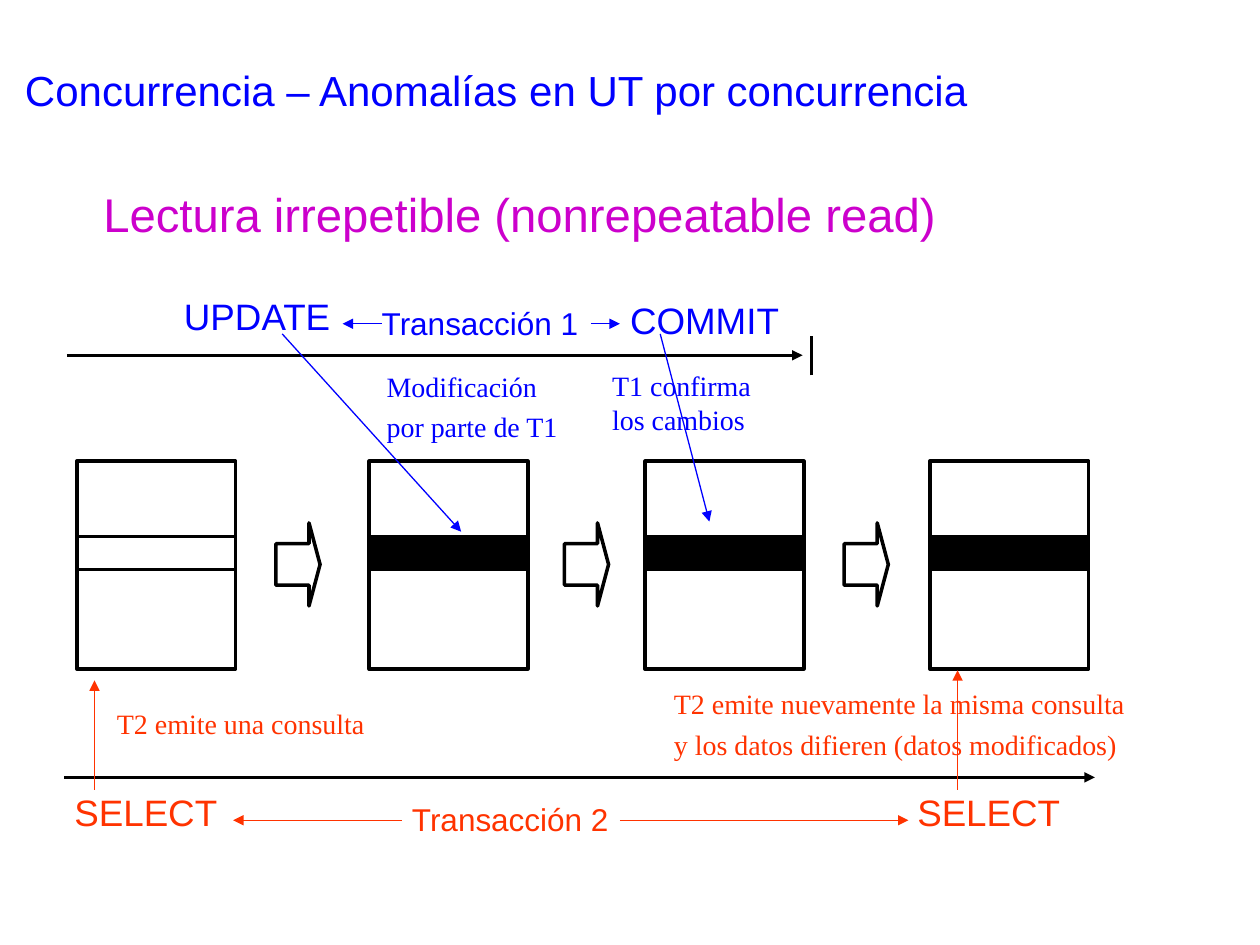
from lxml import etree
from pptx import Presentation
from pptx.dml.color import RGBColor
from pptx.enum.shapes import MSO_CONNECTOR, MSO_SHAPE
from pptx.enum.text import MSO_ANCHOR, MSO_AUTO_SIZE
from pptx.oxml.ns import qn
from pptx.util import Inches, Pt

STRAIGHT = MSO_CONNECTOR.STRAIGHT
RECTANGLE, ARROW = MSO_SHAPE.RECTANGLE, MSO_SHAPE.RIGHT_ARROW
TOP, MIDDLE = MSO_ANCHOR.TOP, MSO_ANCHOR.MIDDLE
GROW = MSO_AUTO_SIZE.SHAPE_TO_FIT_TEXT
COLORS = {name: RGBColor.from_string(value) for name, value in {
    "blue": "0000FF", "red": "FF3300", "purple": "CC00CC",
    "black": "000000", "white": "FFFFFF"}.items()}

deck = Presentation()
deck.slide_width, deck.slide_height = Inches(10), Inches(7.5)
page = deck.slides.add_slide(deck.slide_layouts[6])
column = deck.slide_width / 100
row = deck.slide_height / 75


def add_text(lines, place, size, color, font="Arial", inset=False, wrap=False, before=0, after=0):
    left, top, width, height = place
    box = page.shapes.add_textbox(int(left * column), int(top * row),
                                  int(width * column), int(height * row))
    frame = box.text_frame
    frame.word_wrap = wrap
    frame.auto_size = GROW
    frame.vertical_anchor = TOP if inset else MIDDLE
    frame.margin_left = frame.margin_right = Inches(0.1 if inset else 0)
    frame.margin_top = frame.margin_bottom = Inches(0.05 if inset else 0)
    frame.text = "\n".join(lines)
    for para in frame.paragraphs:
        para.space_before, para.space_after = Pt(before), Pt(after)
        para.font.name, para.font.size = font, Pt(size)
        para.font.color.rgb = COLORS[color]


def add_line(start, end, color, weight=0.75, arrow=True):
    line = page.shapes.add_connector(
        STRAIGHT, int(start[0] * column), int(start[1] * row),
        int(end[0] * column), int(end[1] * row))
    line.line.color.rgb = COLORS[color]
    line.line.width = Pt(weight)
    if arrow:
        etree.SubElement(line.line._get_or_add_ln(), qn("a:tailEnd"), type="triangle")
    etree.SubElement(line._element.spPr, qn("a:effectLst"))


add_text(["Concurrencia – Anomalías en UT por concurrencia"],
         (1, 4.6, 97.4, 5), 24, "blue", inset=True, wrap=True)
add_text(["Lectura irrepetible (nonrepeatable read)"],
         (8.2, 14.7, 66.4, 4.5), 27, "purple", after=5)

table_width = 12.6
for table_left, row_color in ((6.1, None), (29.3, "black"), (51.2, "black"), (73.8, "black")):
    for top, height, color in ((36.6, 16.5, None), (42.6, 2.6, row_color)):
        box = page.shapes.add_shape(RECTANGLE, int(table_left * column), int(top * row),
                                    int(table_width * column), int(height * row))
        box.shadow.inherit = False
        box.line.color.rgb, box.line.width = COLORS["black"], Pt(2)
        if color:
            box.fill.solid()
            box.fill.fore_color.rgb = COLORS[color]
        else:
            box.fill.background()

for arrow_left in (21.9, 44.8, 67):
    step = page.shapes.add_shape(ARROW, int(arrow_left * column), int(41.5 * row),
                                 int(3.5 * column), int(6.6 * row))
    step.adjustments[0], step.adjustments[1] = 0.5, 0.25
    step.shadow.inherit = False
    step.fill.solid()
    step.fill.fore_color.rgb = COLORS["white"]
    step.line.color.rgb, step.line.width = COLORS["black"], Pt(2)

add_line((5.3, 28.2), (63.7, 28.2), "black", 2)
add_line((64.4, 29.8), (64.4, 26.7), "black", 2, arrow=False)
add_line((5.1, 61.7), (86.9, 61.7), "black", 2)

for name, left, top, color in (("Transacción 1", 30.3, 24.1, "blue"),
                               ("Transacción 2", 32.7, 63.5, "red")):
    add_text([name], (left, top, 16, 3), 18, color, after=3.4)

for command, left, top, color in (
        ("UPDATE", 14.6, 23.3, "blue"), ("COMMIT", 50, 23.6, "blue"),
        ("SELECT", 5.9, 62.7, "red"), ("SELECT", 72.8, 62.7, "red")):
    add_text([command], (left, top, 12.2, 3.5), 21, color, after=3.9)

for lines, place, color, wrap in (
        (["Modificación", "por parte de T1"], (29.7, 28.8, 16, 6.9), "blue", False),
        (["T1 confirma los cambios"], (47.6, 28.8, 15.8, 6.4), "blue", True),
        (["T2 emite una consulta"], (8.3, 55.6, 22.2, 3.7), "red", False),
        (["T2 emite nuevamente la misma consulta", "y los datos difieren (datos modificados)"],
         (52.5, 54, 38.5, 6.9), "red", False)):
    add_text(lines, place, 16, color, "Times New Roman", inset=True, wrap=wrap, before=4)

for start, end, color in (
        ((30.3, 25.7), (27.2, 25.7), "blue"), ((46.9, 25.7), (49.2, 25.7), "blue"),
        ((22.4, 26.5), (36.6, 42.2), "blue"), ((52.4, 26.5), (56.3, 41.4), "blue"),
        ((31.9, 65.1), (18.5, 65.1), "red"), ((49.2, 65.1), (72.1, 65.1), "red"),
        ((7.5, 62.7), (7.5, 54), "red"), ((76, 62.7), (76, 53.2), "red")):
    add_line(start, end, color)

deck.save("out.pptx")
